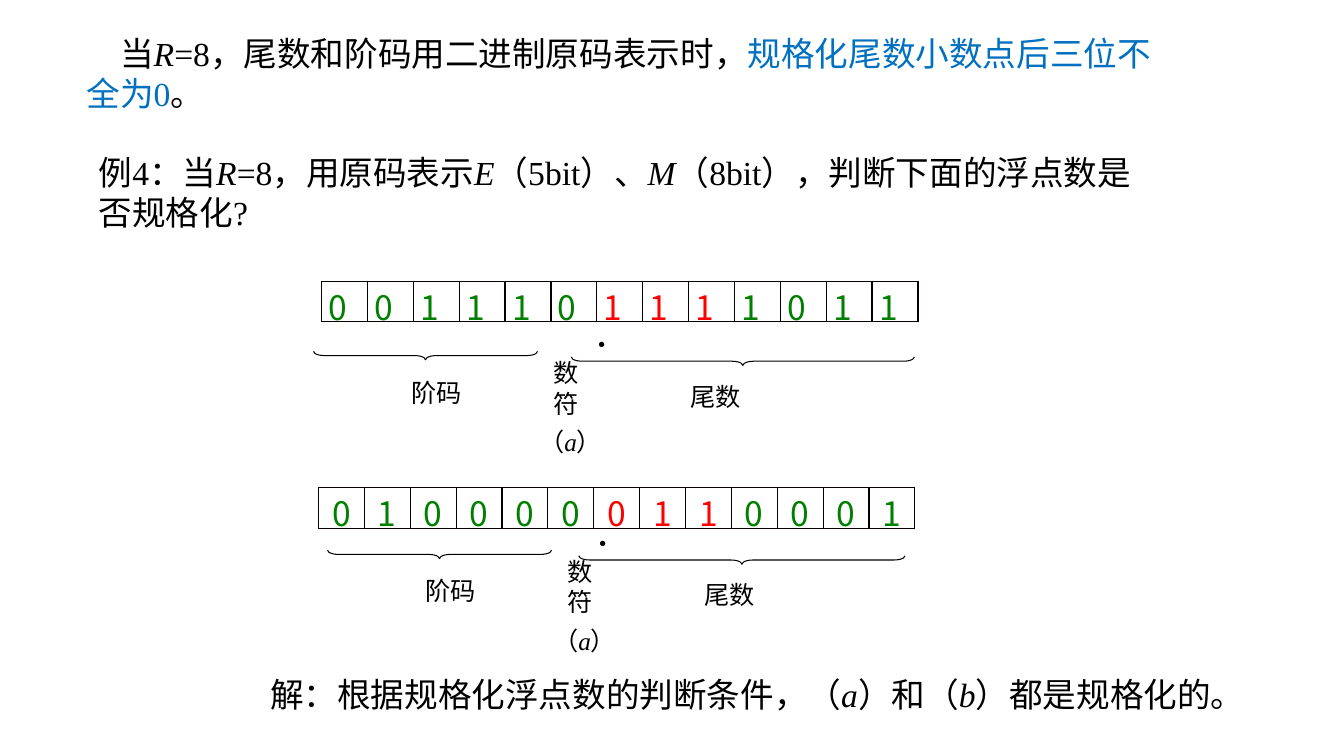
import pptx
import pptx.dml.color
import pptx.enum.shapes
import pptx.enum.text
import pptx.oxml
import pptx.util
from pptx.oxml.ns import qn

Pt = pptx.util.Pt
RGBColor = pptx.dml.color.RGBColor
ALIGN = pptx.enum.text.PP_ALIGN

BLACK = RGBColor(0x00, 0x00, 0x00)
BLUE = RGBColor(0x00, 0x70, 0xC0)
GREEN = RGBColor(0x00, 0x80, 0x00)
RED = RGBColor(0xFF, 0x00, 0x00)
GRID = RGBColor(0x08, 0x00, 0x00)
SERIF = "Times New Roman"
SANS = "Noto Sans CJK SC"


def add_text(page, box, paras, size, indent=0):
    """Write paragraphs made of (text, font, italic, colour) spans."""
    frame = page.shapes.add_textbox(*map(Pt, box)).text_frame
    frame.word_wrap = True
    for number, spans in enumerate(paras):
        para = frame.add_paragraph() if number else frame.paragraphs[0]
        para.font.size = Pt(size)
        if indent:
            para._p.get_or_add_pPr().set("indent", str(Pt(indent)))
        for text, font, italic, colour in spans:
            span = para.add_run()
            span.text = text
            span.font.name = font
            span.font.italic = italic
            span.font.color.rgb = colour


def plain(text, font=SERIF, colour=BLACK):
    """Return an upright span."""
    return text, font, False, colour


def symbol(text):
    """Return an italic span for a variable."""
    return text, SERIF, True, BLACK


def add_borders(cell):
    """Draw a thin line on all four sides of a cell."""
    props = cell._tc.get_or_add_tcPr()
    for place, side in enumerate(("lnL", "lnR", "lnT", "lnB")):
        line = pptx.oxml.parse_xml(
            f'<a:{side} xmlns:a="http://schemas.openxmlformats.org/drawingml/2006/main" '
            f'w="{Pt(1)}"><a:solidFill><a:srgbClr val="{GRID}"/></a:solidFill></a:{side}>')
        props.insert(place, line)


def add_bits(page, left, top, bits, align):
    """Draw one floating-point word, with the first three fraction bits in red."""
    width, height = 426.2, 29
    table = page.shapes.add_table(1, len(bits), Pt(left), Pt(top), Pt(width), Pt(height)).table
    table.first_row = table.horz_banding = False
    table.rows[0].height = Pt(height)
    for index, bit in enumerate(bits):
        table.columns[index].width = Pt(width / len(bits))
        cell = table.cell(0, index)
        cell.margin_left = cell.margin_right = Pt(5)
        cell.margin_top = cell.margin_bottom = 0
        cell.fill.background()
        add_borders(cell)
        para = cell.text_frame.paragraphs[0]
        para.text = bit
        para.alignment = align
        para.font.name = SANS
        para.font.size = Pt(24)
        para.font.color.rgb = RED if 6 <= index <= 8 else GREEN


def add_brace(page, middle, top, length):
    """Draw a brace that opens upwards around the given middle."""
    depth = 6
    brace = page.shapes.add_shape(
        pptx.enum.shapes.MSO_SHAPE.LEFT_BRACE, Pt(middle - depth / 2),
        Pt(top + depth / 2 - length / 2), Pt(depth), Pt(length))
    brace.rotation = 270
    brace.adjustments[0] = 1.3
    brace.shadow.inherit = False
    brace.fill.background()
    brace.line.color.rgb = BLACK
    brace.line.width = Pt(0.75)


def add_fields(page, left, top, mantissa_middle, mantissa_length, dot_left):
    """Mark the exponent, sign and mantissa fields under a word."""
    add_brace(page, left + 74, top + 50, 160)
    add_brace(page, mantissa_middle, top + 54, mantissa_length)
    add_text(page, (left + 56.6, top + 64.7, 74, 29), [[plain("阶码", SANS)]], 18)
    add_text(page, (left + 256, top + 67.6, 74, 29), [[plain("尾数", SANS)]], 18)
    add_text(page, (left + 158, top + 51, 32, 51),
             [[plain("数", SANS)], [plain("符", SANS)]], 18)
    add_text(page, (left + 148, top + 100, 75, 29),
             [[plain("（", SANS), symbol("a"), plain("）", SANS)]], 18)
    add_text(page, (dot_left, top + 31, 30, 29), [[plain("•", SANS)]], 18)


def add_statements(page):
    """Write the rule, the example and the answer."""
    add_text(page, (54.7, 20, 785, 65.5), [[
        plain("当"), symbol("R"), plain("=8，尾数和阶码用二进制原码表示时，"),
        plain("规格化尾数小数点后三位不全为0", colour=BLUE), plain("。")]], 24, 24)
    add_text(page, (63.4, 105, 770, 65.5), [[
        plain("例4：当"), symbol("R"), plain("=8，"), plain("用原码表示", SANS),
        symbol("E"), plain("（5bit）、"), symbol("M"),
        plain("（8bit），判断下面的浮点数是否规格化?")]], 24)
    add_text(page, (185.8, 478, 715, 36), [[
        plain("解：根据规格化浮点数的判断条件，", SANS), plain("（"), symbol("a"),
        plain("）和（"), symbol("b"), plain("）"), plain("都是规格化的。", SANS)]], 24)


def main():
    """Build the slide and save it."""
    deck = pptx.Presentation()
    deck.slide_width, deck.slide_height = Pt(960), Pt(540)
    page = deck.slides.add_slide(deck.slide_layouts[6])
    add_statements(page)
    add_bits(page, 229.7, 200.9, "0011101111011", ALIGN.LEFT)
    add_fields(page, 230, 201, 530.6, 245, 414)
    add_bits(page, 227.5, 348.5, "0100000110001", ALIGN.CENTER)
    add_fields(page, 240, 343, 530, 233, 414.7)
    deck.save("out.pptx")


if __name__ == "__main__":
    main()
